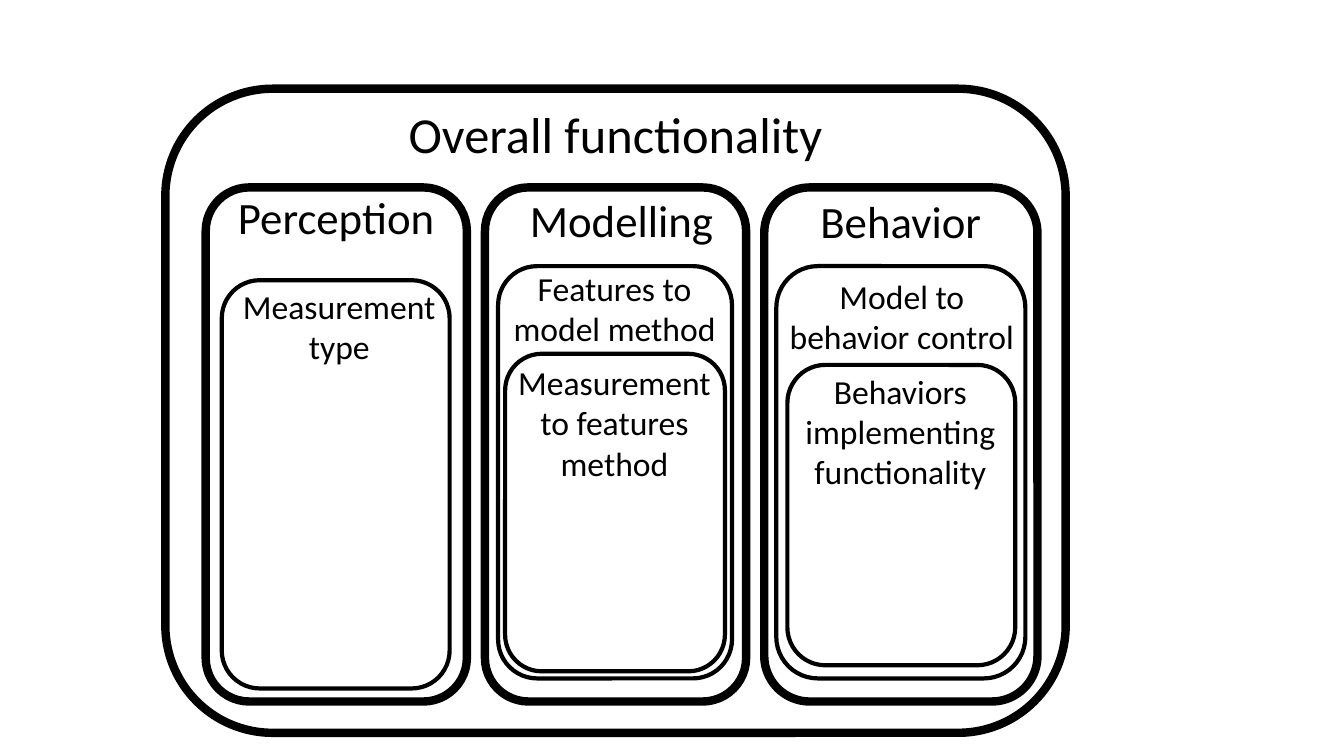
import pptx
import pptx.util
import pptx.dml.color
import pptx.enum.shapes
import pptx.enum.text

Inches = pptx.util.Inches
COLOURS = {"ink": "000000"}
FONT = "Calibri"
THICK, THIN = 6, 3

TITLE = ("Overall functionality", (3.58, 0.97, 5.05, 0.71), 36)
OUTER_FRAME = (1.64, 0.88, 8.93, 6.39)

COLUMN_TOP, COLUMN_HEIGHT = 1.86, 5.1
HEADING_WIDTH, HEADING_HEIGHT = 2.33, 0.64
# Each column: heading, heading left and top, column left and width,
# then its inner frames as (label, frame box, label box)
COLUMNS = [
    ("Perception", (2.17, 1.83), (2.04, 2.59), [
        ("Measurement type", (2.2, 2.78, 2.26, 4.05), (2.2, 2.78, 2.33, 0.91)),
    ]),
    ("Modelling", (5, 1.86), (4.81, 2.59), [
        ("Features to model method", (4.94, 2.64, 2.32, 4.09), (4.85, 2.6, 2.49, 0.91)),
        ("Measurement to features method", (5.01, 3.51, 2.18, 3.15), (4.93, 3.51, 2.33, 1.36)),
    ]),
    ("Behavior", (7.77, 1.87), (7.58, 2.71), [
        ("Model to behavior control", (7.7, 2.64, 2.47, 4.09), (7.66, 2.68, 2.57, 0.91)),
        ("Behaviors implementing functionality", (7.81, 3.62, 2.26, 2.98), (7.81, 3.62, 2.24, 1.31)),
    ]),
]


def ink():
    return pptx.dml.color.RGBColor.from_string(COLOURS["ink"])


def add_frame(page, box, weight):
    """Draw an unfilled rounded outline."""
    frame = page.shapes.add_shape(
        pptx.enum.shapes.MSO_SHAPE.ROUNDED_RECTANGLE, *map(Inches, box))
    frame.shadow.inherit = False
    frame.fill.background()
    frame.line.color.rgb = ink()
    frame.line.width = pptx.util.Pt(weight)


def write(shape, text, size):
    """Put centred text in a text box or placeholder."""
    frame = shape.text_frame
    frame.text = text
    frame_format = {
        "word_wrap": True,
        "auto_size": pptx.enum.text.MSO_AUTO_SIZE.NONE,
        "vertical_anchor": pptx.enum.text.MSO_ANCHOR.MIDDLE,
    }
    for name, value in frame_format.items():
        setattr(frame, name, value)
    para = frame.paragraphs[0]
    para.alignment = pptx.enum.text.PP_ALIGN.CENTER
    span = para.runs[0]
    for name, value in {"name": FONT, "size": pptx.util.Pt(size)}.items():
        setattr(span.font, name, value)
    span.font.color.rgb = ink()


def add_label(page, text, box, size):
    write(page.shapes.add_textbox(*map(Inches, box)), text, size)


def add_title(page):
    text, box, size = TITLE
    title = page.shapes.title
    for name, value in zip(("left", "top", "width", "height"), box):
        setattr(title, name, Inches(value))
    write(title, text, size)


def main():
    deck = pptx.Presentation()
    deck.slide_width, deck.slide_height = Inches(13.33), Inches(7.5)
    page = deck.slides.add_slide(deck.slide_layouts.get_by_name("Title Only"))
    add_title(page)
    add_frame(page, OUTER_FRAME, THICK)
    for heading, corner, (left, width), parts in COLUMNS:
        add_frame(page, (left, COLUMN_TOP, width, COLUMN_HEIGHT), THICK)
        add_label(page, heading, (*corner, HEADING_WIDTH, HEADING_HEIGHT), 32)
        for label, frame_box, label_box in parts:
            add_frame(page, frame_box, THIN)
            add_label(page, label, label_box, 24)
    deck.save("out.pptx")


if __name__ == "__main__":
    main()
